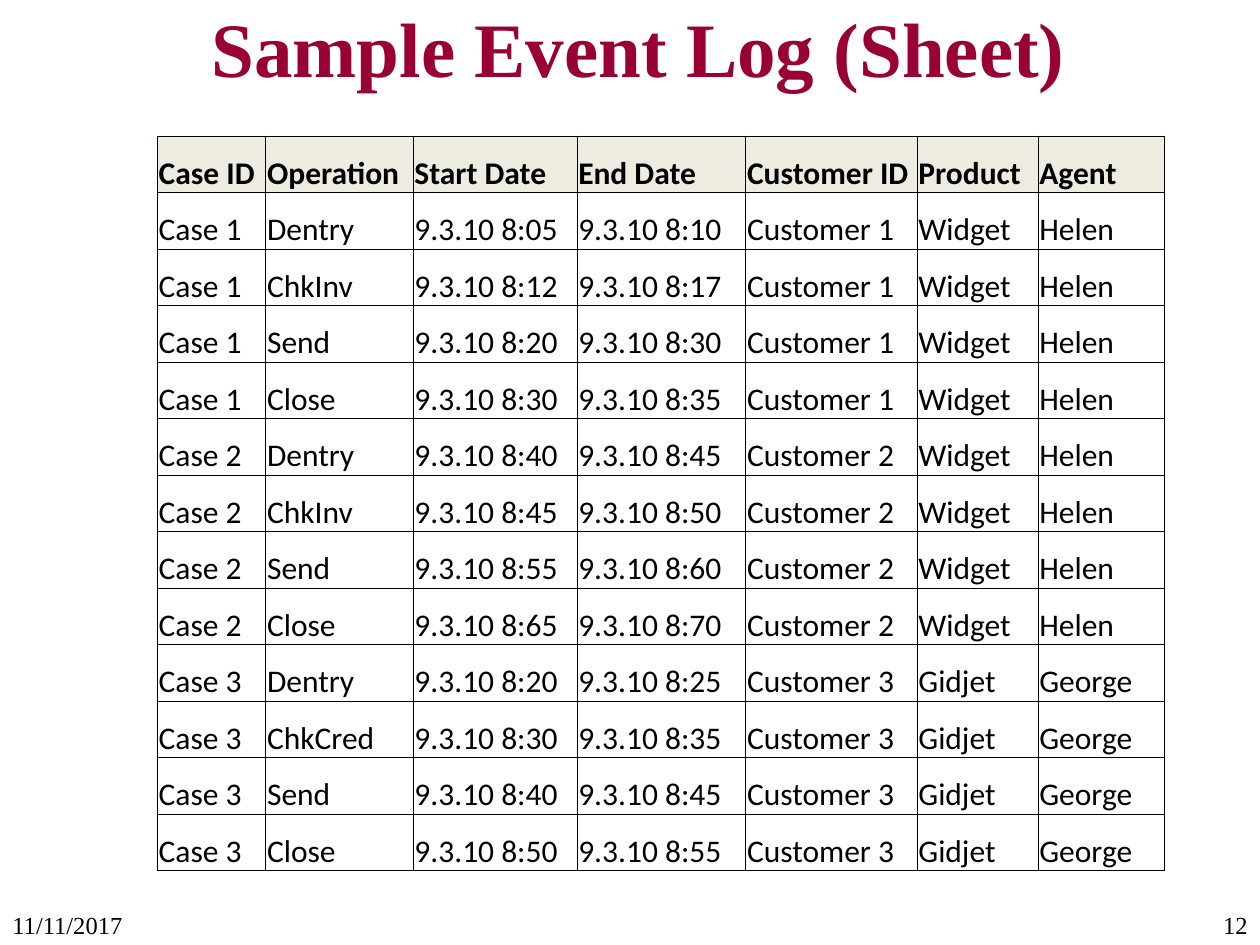
from lxml import etree
from pptx import Presentation
from pptx.dml.color import RGBColor
from pptx.enum import text
from pptx.oxml import ns
from pptx.util import Inches, Pt


def write(frame, words, font, size, color="000000", bold=False, align=text.PP_ALIGN.LEFT):
    frame.word_wrap = True
    para = frame.paragraphs[0]
    para.alignment = align
    span = para.add_run()
    span.text = words
    span.font.name = font
    span.font.size = Pt(size)
    span.font.bold = bold
    span.font.color.rgb = RGBColor.from_string(color)


def add_borders(cell, color="000000", width=0.5):
    """Draw all four edges; they must come before the fill in the cell properties."""
    properties = cell._tc.get_or_add_tcPr()
    for position, edge in enumerate(("a:lnL", "a:lnR", "a:lnT", "a:lnB")):
        line = etree.Element(ns.qn(edge), w=str(Pt(width)))
        fill = etree.SubElement(line, ns.qn("a:solidFill"))
        etree.SubElement(fill, ns.qn("a:srgbClr"), val=color)
        properties.insert(position, line)


deck = Presentation()
deck.slide_width, deck.slide_height = Inches(10), Inches(7.5)
page = deck.slides.add_slide(deck.slide_layouts[6])

# Title, date and page number
title = page.shapes.add_textbox(Inches(1.58), Inches(0.08), Inches(8.42), Inches(0.58))
title.text_frame.vertical_anchor = text.MSO_ANCHOR.MIDDLE
write(title.text_frame, "Sample Event Log (Sheet)", "Times New Roman", 44, color="990033", bold=True)

for words, left, width, align in (
    ("11/11/2017", 0, 2.08, text.PP_ALIGN.LEFT),
    ("12", 8.58, 1.42, text.PP_ALIGN.RIGHT),
):
    box = page.shapes.add_textbox(Inches(left), Inches(7.17), Inches(width), Inches(0.33))
    write(box.text_frame, words, "Times New Roman", 14, align=align)

# Event log: each case has a product, an agent and its operations with start and end times
header = ["Case ID", "Operation", "Start Date", "End Date", "Customer ID", "Product", "Agent"]
cases = [
    ("Widget", "Helen", [("Dentry", "8:05", "8:10"), ("ChkInv", "8:12", "8:17"),
                         ("Send", "8:20", "8:30"), ("Close", "8:30", "8:35")]),
    ("Widget", "Helen", [("Dentry", "8:40", "8:45"), ("ChkInv", "8:45", "8:50"),
                         ("Send", "8:55", "8:60"), ("Close", "8:65", "8:70")]),
    ("Gidjet", "George", [("Dentry", "8:20", "8:25"), ("ChkCred", "8:30", "8:35"),
                          ("Send", "8:40", "8:45"), ("Close", "8:50", "8:55")]),
]
rows = [header]
for number, (product, agent, events) in enumerate(cases, start=1):
    for operation, start, end in events:
        rows.append([f"Case {number}", operation, f"9.3.10 {start}", f"9.3.10 {end}",
                     f"Customer {number}", product, agent])

table = page.shapes.add_table(len(rows), len(header), Inches(1.25), Inches(1.08),
                              Inches(8), Inches(5.83)).table
table.horz_banding = False
for column, width in zip(table.columns, (0.86, 1.17, 1.3, 1.34, 1.36, 0.96, 1)):
    column.width = Inches(width)

for row_index, row in enumerate(rows):
    is_header = row_index == 0
    for column_index, words in enumerate(row):
        cell = table.cell(row_index, column_index)
        cell.margin_left = cell.margin_right = cell.margin_top = Inches(0.01)
        cell.margin_bottom = 0
        cell.vertical_anchor = text.MSO_ANCHOR.BOTTOM
        if is_header:
            cell.fill.solid()
            cell.fill.fore_color.rgb = RGBColor.from_string("EEECE1")
        else:
            cell.fill.background()
        add_borders(cell)
        write(cell.text_frame, words, "Calibri", 18, bold=is_header)

deck.save("out.pptx")
